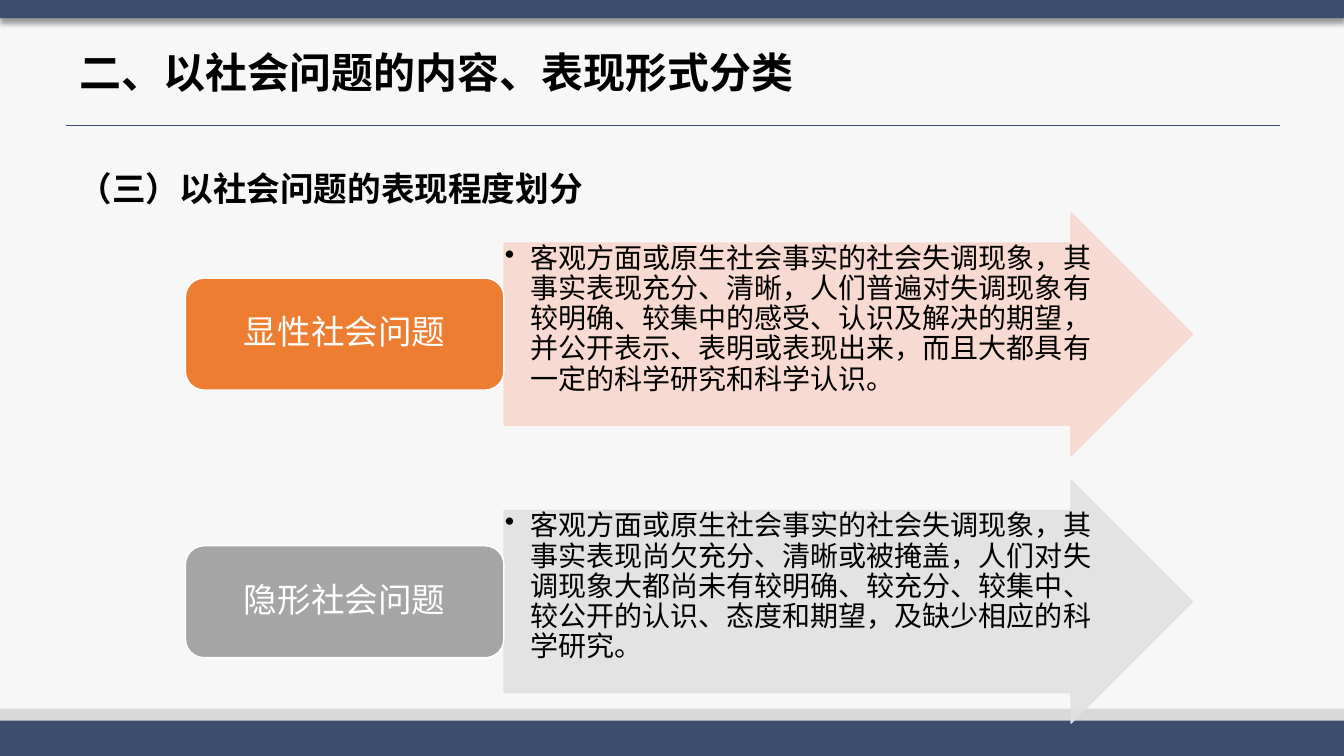
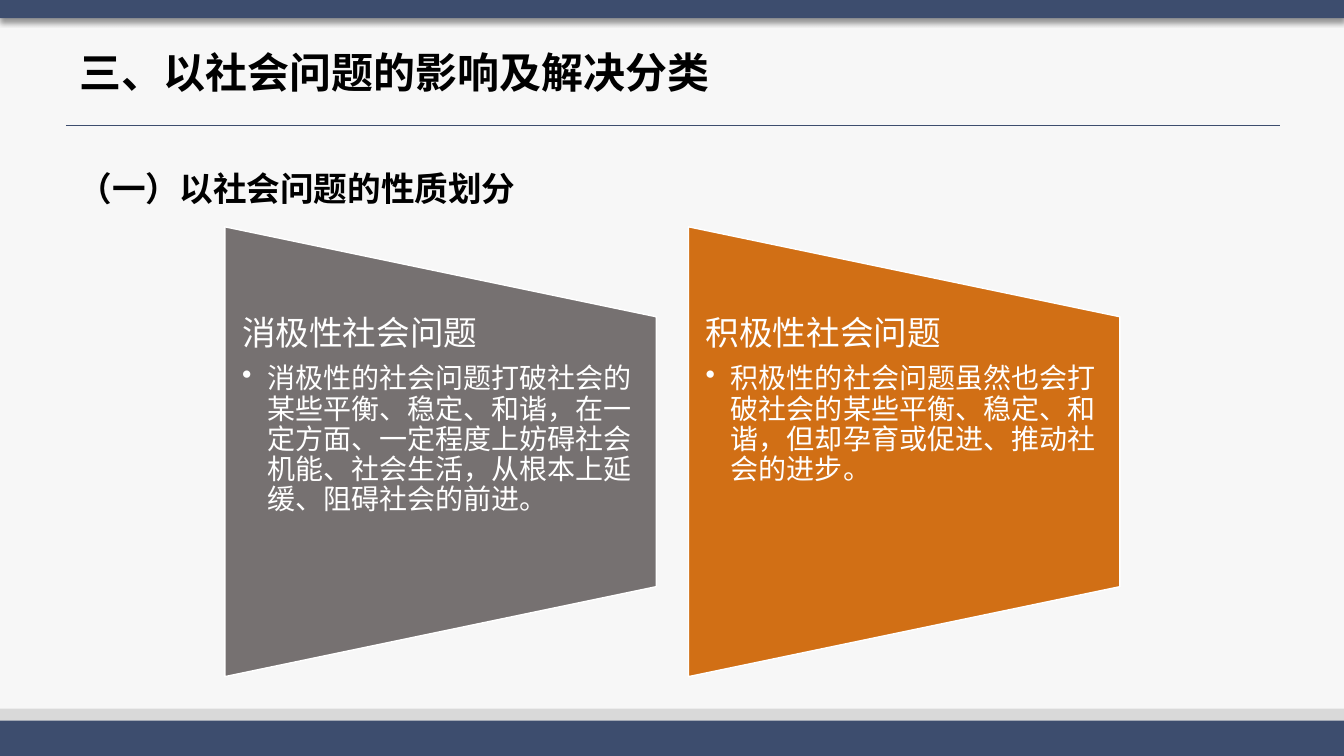
from dataclasses import dataclass

from lxml import etree
from pptx import Presentation
from pptx.dml.color import RGBColor
from pptx.enum.shapes import MSO_CONNECTOR, MSO_SHAPE
from pptx.enum.text import MSO_ANCHOR, MSO_AUTO_SIZE, PP_ALIGN
from pptx.oxml.ns import qn
from pptx.util import Inches, Pt

RECT, ROUND = MSO_SHAPE.RECTANGLE, MSO_SHAPE.ROUNDED_RECTANGLE
ARROW, TAPER = MSO_SHAPE.RIGHT_ARROW, MSO_SHAPE.FLOWCHART_MANUAL_OPERATION
STRAIGHT = MSO_CONNECTOR.STRAIGHT
TOP, MIDDLE = MSO_ANCHOR.TOP, MSO_ANCHOR.MIDDLE
LEFT, CENTER = PP_ALIGN.LEFT, PP_ALIGN.CENTER
NO_FIT = MSO_AUTO_SIZE.NONE


@dataclass(frozen=True)
class Style:
    size: float
    color: str
    bold: bool = False
    lines: float = 0.9
    after: float = 0
    align: int = LEFT
    bullet: bool = False


class Theme:
    font = "Noto Sans CJK SC"
    paper, navy, band = "F7F7F7", "3D4D6E", "D9D9D9"
    black, white = "000000", "FFFFFF"
    orange, gray, peach, pale = "ED7D31", "A5A5A5", "F8D7CE", "E1E1E1"
    stone, rust = "767171", "D16F15"
    title = Style(30, black, bold=True)
    body = Style(24, black, bold=True, lines=1.5, after=6)
    label = Style(24, white, after=8.4, align=CENTER)
    head = Style(24, white, after=8.4)
    dark = Style(20, black, after=3, bullet=True)
    light = Style(20, white, after=3, bullet=True)


class Deck:
    """Holds the style and current slide; lengths are percent of the slide's size."""

    def __init__(self, theme):
        self.theme = theme
        self.prs = Presentation()
        self.prs.slide_width, self.prs.slide_height = Inches(13.333), Inches(7.5)
        fill = self.prs.slide_master.background.fill
        fill.solid()
        fill.fore_color.rgb = RGBColor.from_string(theme.paper)
        self.slide = None

    def place(self, x, y, w, h):
        wide, high = self.prs.slide_width, self.prs.slide_height
        return [round(n * side / 100) for n, side in zip((x, y, w, h), (wide, high) * 2)]

    def typeset(self, frame, items, inset=(0.1, 0.05), anchor=TOP):
        frame.word_wrap = True
        frame.auto_size = NO_FIT
        frame.vertical_anchor = anchor
        frame.margin_left = frame.margin_right = Inches(inset[0])
        frame.margin_top = frame.margin_bottom = Inches(inset[1])
        frame.text = "\n".join(text for text, _ in items)
        for para, (_, style) in zip(frame.paragraphs, items):
            self.dress(para, style)

    def dress(self, para, style):
        para.level = int(style.bullet)
        para.alignment = style.align
        para.line_spacing = style.lines
        para.space_before, para.space_after = Pt(0), Pt(style.after)
        props = para._p.get_or_add_pPr()
        hang = Inches(0.25) if style.bullet else 0
        props.set("marL", str(hang))
        props.set("indent", str(-hang))
        if style.bullet:
            etree.SubElement(props, qn("a:buChar")).set("char", "•")
        else:
            etree.SubElement(props, qn("a:buNone"))
        for run in para.runs:
            run.font.name = self.theme.font
            run.font.size, run.font.bold = Pt(style.size), style.bold
            run.font.color.rgb = RGBColor.from_string(style.color)
            east = etree.SubElement(run._r.get_or_add_rPr(), qn("a:ea"))
            east.set("typeface", self.theme.font)

    def holder(self, shape, box, text, style, anchor=TOP):
        shape.left, shape.top, shape.width, shape.height = self.place(*box)
        self.typeset(shape.text_frame, [(text, style)], anchor=anchor)

    def text(self, box, items, inset):
        self.typeset(self.slide.shapes.add_textbox(*self.place(*box)).text_frame, items, inset)

    def shape(self, kind, box, color, edge=None):
        shape = self.slide.shapes.add_shape(kind, *self.place(*box))
        shape.shadow.inherit = False
        shape.fill.solid()
        shape.fill.fore_color.rgb = RGBColor.from_string(color)
        if edge:
            shape.line.color.rgb = RGBColor.from_string(edge)
            shape.line.width = Pt(1)
        else:
            shape.line.fill.background()
        return shape

    def fade(self, color, share):
        etree.SubElement(color, qn("a:alpha")).set("val", str(share * 1000))

    def shade(self, shape):
        effects = shape.element.spPr.find(qn("a:effectLst"))
        shadow = etree.SubElement(effects, qn("a:outerShdw"), blurRad=str(Pt(4)),
                                  dist=str(Pt(3)), dir="5400000", rotWithShape="0")
        color = etree.SubElement(shadow, qn("a:srgbClr"), val=self.theme.black)
        self.fade(color, 40)

    def rule(self, x, y, end):
        left, top, right, _ = self.place(x, y, end, 0)
        line = self.slide.shapes.add_connector(STRAIGHT, left, top, right, top)
        line.line.color.rgb = RGBColor.from_string(self.theme.navy)
        line.line.width = Pt(0.5)
        etree.SubElement(line.element.spPr, qn("a:effectLst"))

    def page(self, title, body):
        theme = self.theme
        self.slide = self.prs.slides.add_slide(self.prs.slide_layouts[1])
        head, main = self.slide.placeholders
        self.holder(head, (5.2, 4.67, 89.85, 10.53), title, theme.title, MIDDLE)
        self.holder(main, (5.1, 18.93, 91.35, 71.07), body, theme.body)
        self.shape(RECT, (0, 93.73, 100, 4.67), theme.band)
        self.shape(RECT, (0, 95.33, 100, 4.67), theme.navy)
        self.rule(4.9, 16.53, 95.25)
        self.shade(self.shape(RECT, (0, 0, 100, 2.4), theme.navy))

    def arrow(self, y, label, text, color, tint):
        x, w, h, tag_w, tag_h = 37.5, 51.23, 32.13, 23.7, 14.8
        arrow = self.shape(ARROW, (x, y, w, h), tint, tint)
        arrow.adjustments[0], arrow.adjustments[1] = 0.75, 0.5
        for item in arrow.element.spPr.iter(qn("a:srgbClr")):
            self.fade(item, 90)
        self.text((x, y + h / 8, 44.4, h * 0.75), [(text, self.theme.dark)], (0.01, 0.01))
        box = (x - tag_w, y + (h - tag_h) / 2, tag_w, tag_h)
        tag = self.shape(ROUND, box, color, self.theme.white)
        self.typeset(tag.text_frame, [(label, self.theme.label)], anchor=MIDDLE)

    def panel(self, x, head, text, color):
        y, w, h = 30, 32.1, 59.5
        panel = self.shape(TAPER, (x, y, w, h), color, self.theme.white)
        wide, high = panel.width, panel.height
        panel.left += (wide - high) // 2
        panel.top += (high - wide) // 2
        panel.width, panel.height = high, wide
        panel.rotation = 270
        items = [(head, self.theme.head), (text, self.theme.light)]
        self.text((x, y + h / 5, w, h * 0.6), items, (0.17, 0))


def main():
    theme = Theme()
    deck = Deck(theme)

    deck.page("二、以社会问题的内容、表现形式分类", "（三）以社会问题的表现程度划分")
    arrows = [
        ("显性社会问题",
         "客观方面或原生社会事实的社会失调现象，其事实表现充分、清晰，"
         "人们普遍对失调现象有较明确、较集中的感受、认识及解决的期望，"
         "并公开表示、表明或表现出来，而且大都具有一定的科学研究和科学认识。",
         theme.orange, theme.peach),
        ("隐形社会问题",
         "客观方面或原生社会事实的社会失调现象，其事实表现尚欠充分、清晰或被掩盖，"
         "人们对失调现象大都尚未有较明确、较充分、较集中、较公开的认识、态度和期望，"
         "及缺少相应的科学研究。",
         theme.gray, theme.pale),
    ]
    for row, item in enumerate(arrows):
        deck.arrow(28.13 + row * 35.4, *item)

    deck.page("三、以社会问题的影响及解决分类", "（一）以社会问题的性质划分")
    panels = [
        ("消极性社会问题",
         "消极性的社会问题打破社会的某些平衡、稳定、和谐，在一定方面、"
         "一定程度上妨碍社会机能、社会生活，从根本上延缓、阻碍社会的前进。",
         theme.stone),
        ("积极性社会问题",
         "积极性的社会问题虽然也会打破社会的某些平衡、稳定、和谐，"
         "但却孕育或促进、推动社会的进步。",
         theme.rust),
    ]
    for col, item in enumerate(panels):
        deck.panel(16.73 + col * 34.5, *item)

    deck.prs.save("out.pptx")


if __name__ == "__main__":
    main()
